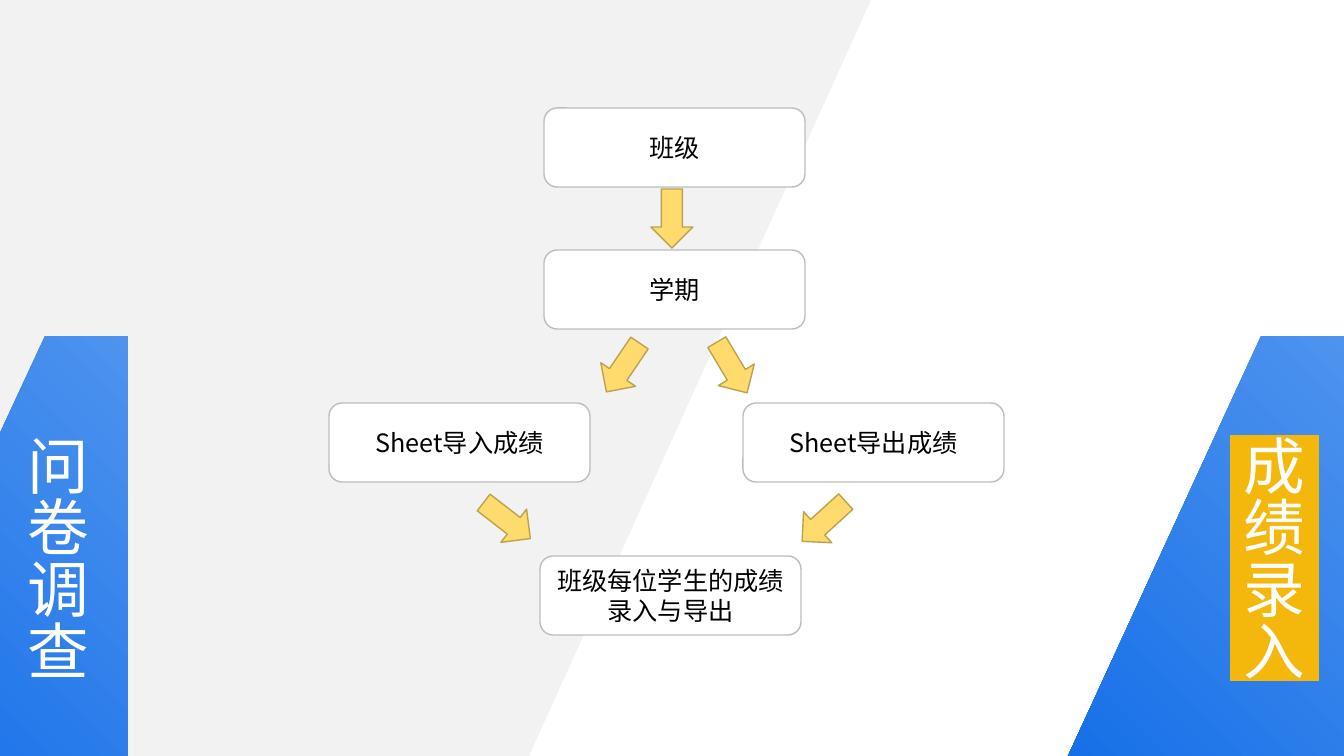
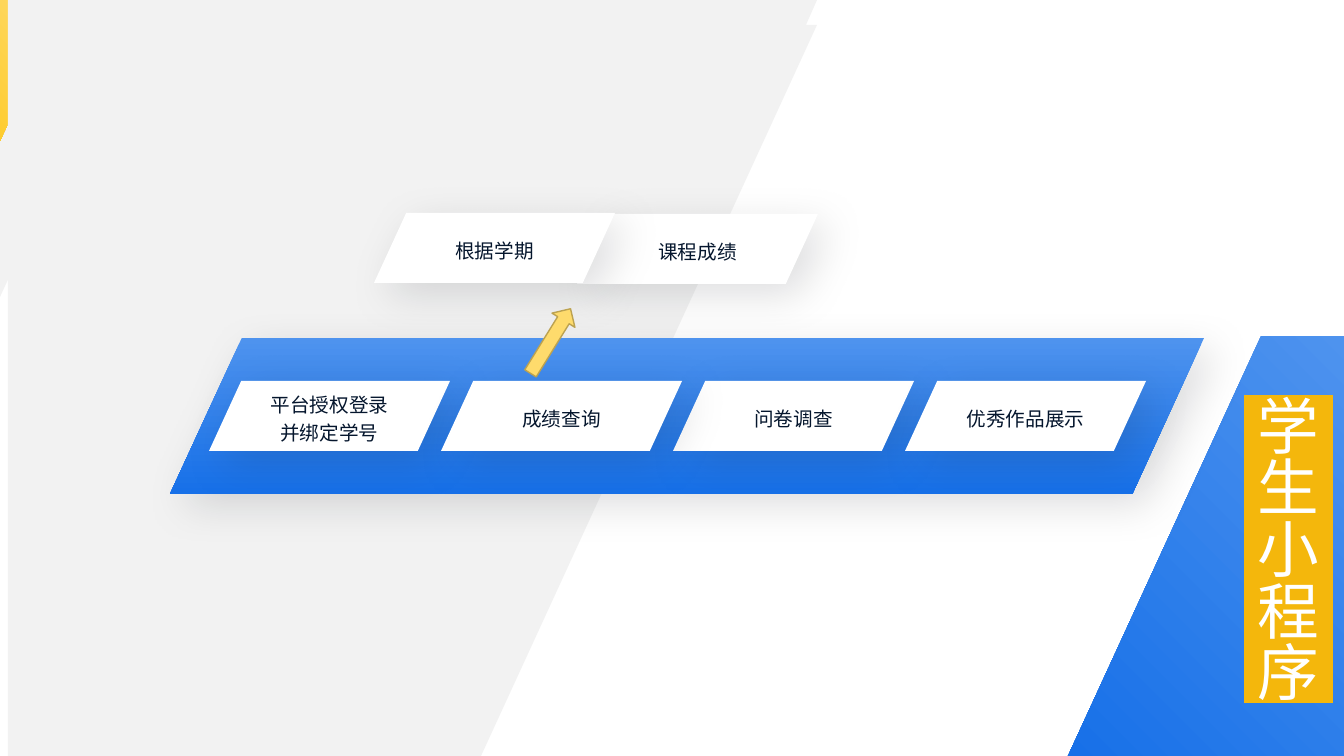
from lxml import etree
from pptx import Presentation
from pptx import util as u
from pptx.dml.color import RGBColor
from pptx.enum import shapes, text
from pptx.oxml.ns import qn

PX = 914400 / 100.8
WIDTH, HEIGHT = 1344, 756
KIND = shapes.MSO_SHAPE

THEME = {
    "gray": "F2F2F2", "white": "FFFFFF", "black": "000000", "navy": "05162D",
    "highlight": "F4B70C", "box line": "BDBDBD",
    "arrow": "FEDB6C", "arrow line": "BCA250", "shadow": "040B12",
    "blue": ("4E93EE", "1770E8"), "left blue": ("4E93EE", "2277EA"),
    "yellow": ("FEDB6C", "FECC2F"),
    "body font": "Noto Sans CJK JP", "title font": "Noto Sans CJK SC",
    "title size": 44, "box size": 18, "label size": 14,
}
DIAGONAL, DOWNWARD = 225, 270
CENTERED = {"alignment": text.PP_ALIGN.CENTER}
CENTERED_LOOSE = {"alignment": text.PP_ALIGN.CENTER, "line_spacing": 1.2}


def paint(shape, fill, line=None, angle=DIAGONAL, shadow=False):
    """Fill with one theme colour or a gradient pair, then set line and shadow."""
    colors = THEME[fill]
    if isinstance(colors, tuple):
        shape.fill.gradient()
        shape.fill.gradient_angle = angle
        for stop, color in zip(shape.fill.gradient_stops, colors):
            stop.color.rgb = RGBColor.from_string(color)
    else:
        shape.fill.solid()
        shape.fill.fore_color.rgb = RGBColor.from_string(colors)
    if line:
        shape.line.color.rgb = RGBColor.from_string(THEME[line])
        shape.line.width = u.Pt(1)
    else:
        shape.line.fill.background()
    shape.shadow.inherit = False
    if shadow:
        effects = shape._element.spPr.find(qn("a:effectLst"))
        outer = etree.SubElement(effects, qn("a:outerShdw"), {
            "blurRad": str(u.Pt(31)), "dist": str(u.Pt(11)), "dir": str(45 * 60000),
            "algn": "tl", "rotWithShape": "0"})
        color = etree.SubElement(outer, qn("a:srgbClr"), val=THEME["shadow"])
        etree.SubElement(color, qn("a:alpha"), val="12000")


def write(shape, words, size, color, font="body font", layout=CENTERED, highlight=None):
    """Write one paragraph per line of words, in Latin and East Asian type alike."""
    frame = shape.text_frame
    frame.word_wrap = True
    for index, line in enumerate(words.split("\n")):
        para = frame.add_paragraph() if index else frame.paragraphs[0]
        for name, value in layout.items():
            setattr(para, name, value)
        span = para.add_run()
        span.text = line
        span.font.size = u.Pt(THEME[size])
        span.font.color.rgb = RGBColor.from_string(THEME[color])
        properties = span.font._element
        properties.set("lang", "zh-CN")
        if highlight:
            mark = etree.SubElement(properties, qn("a:highlight"))
            etree.SubElement(mark, qn("a:srgbClr"), val=THEME[highlight])
        for script in ("a:latin", "a:ea"):
            etree.SubElement(properties, qn(script), typeface=THEME[font])


RIGHT_BAND = ("blue", [(1344, 336), (1261, 336), (1068, 756), (1344, 756)])
FLOW_BOX = {"kind": KIND.ROUNDED_RECTANGLE, "size": (261, 79),
            "paint": {"fill": "white", "line": "box line"},
            "write": {"size": "box size", "color": "black"}}
SLANTED_BOX = {"kind": KIND.PARALLELOGRAM, "size": (241, 70),
               "paint": {"fill": "white", "shadow": True},
               "write": {"size": "label size", "color": "navy", "layout": CENTERED_LOOSE}}
MENU_LEFT, MENU_STEP, MENU_TOP = 209, 232, 381
MENU = [(0, "平台授权登录\n并绑定学号"), (2, "问卷调查"), (1, "成绩查询"), (3, "优秀作品展示")]

PAGES = [
    {
        "polygons": [
            ("gray", [(0, 0), (871, 0), (529, 756), (0, 756)]),
            RIGHT_BAND,
            ("left blue", [(0, 433), (45, 336), (128, 336), (128, 756), (0, 756)]),
        ],
        "titles": [(1220, 425, "成绩录入", "highlight"), (4, 425, "问卷调查", None)],
        "banners": [],
        "box style": FLOW_BOX,
        "boxes": [
            (544, 108, "班级"), (544, 250, "学期"),
            (329, 403, "Sheet导入成绩"), (743, 403, "Sheet导出成绩"),
            (540, 556, "班级每位学生的成绩录入与导出"),
        ],
        "arrow size": (42, 59),
        "arrows": [(651, 189, 0), (602, 338, 34.1), (711, 338, 329.2),
                   (486, 491, 307.7), (803, 492, 47.7)],
    },
    {
        "polygons": [
            ("gray", [(0, 0), (137, 0), (0, 297)]),
            ("yellow", [(0, 0), (65, 0), (0, 141)]),
            ("gray", [(8, 0), (817, 0), (806, 25), (817, 25), (481, 756), (8, 756)]),
            RIGHT_BAND,
        ],
        "titles": [(1234, 385, "学生小程序", "highlight")],
        "banners": [(170, 338, 1034, 156)],
        "box style": SLANTED_BOX,
        "boxes": [(MENU_LEFT + MENU_STEP * column, MENU_TOP, label) for column, label in MENU]
        + [(577, 214, "课程成绩"), (374, 213, "根据学期")],
        "arrow size": (27, 76),
        "arrows": [(537, 303, 211.8)],
    },
]

deck = Presentation()
deck.slide_width, deck.slide_height = round(WIDTH * PX), round(HEIGHT * PX)

for content in PAGES:
    page = deck.slides.add_slide(deck.slide_layouts[6])

    for fill, points in content["polygons"]:
        outline = page.shapes.build_freeform(*points[0], scale=PX)
        outline.add_line_segments(points[1:], close=True)
        paint(outline.convert_to_shape(), fill)

    for left, top, words, highlight in content["titles"]:
        title = page.shapes.add_textbox(*(round(n * PX) for n in (left, top, 94, 331)))
        write(title, words, "title size", "white", "title font", {}, highlight)
        title.text_frame.auto_size = text.MSO_AUTO_SIZE.SHAPE_TO_FIT_TEXT
        title.text_frame._txBody.bodyPr.set("vert", "eaVert")

    for bounds in content["banners"]:
        banner = page.shapes.add_shape(KIND.PARALLELOGRAM, *(round(n * PX) for n in bounds))
        banner.adjustments[0] = 0.46
        paint(banner, "blue", angle=DOWNWARD, shadow=True)

    style = content["box style"]
    for left, top, words in content["boxes"]:
        bounds = (left, top, *style["size"])
        box = page.shapes.add_shape(style["kind"], *(round(n * PX) for n in bounds))
        if style["kind"] == KIND.PARALLELOGRAM:
            box.adjustments[0] = 0.46
        paint(box, **style["paint"])
        write(box, words, **style["write"])
        box.text_frame.vertical_anchor = text.MSO_ANCHOR.MIDDLE

    for left, top, turn in content["arrows"]:
        bounds = (left, top, *content["arrow size"])
        arrow = page.shapes.add_shape(KIND.DOWN_ARROW, *(round(n * PX) for n in bounds))
        arrow.rotation = turn
        paint(arrow, "arrow", "arrow line")

deck.save("out.pptx")
